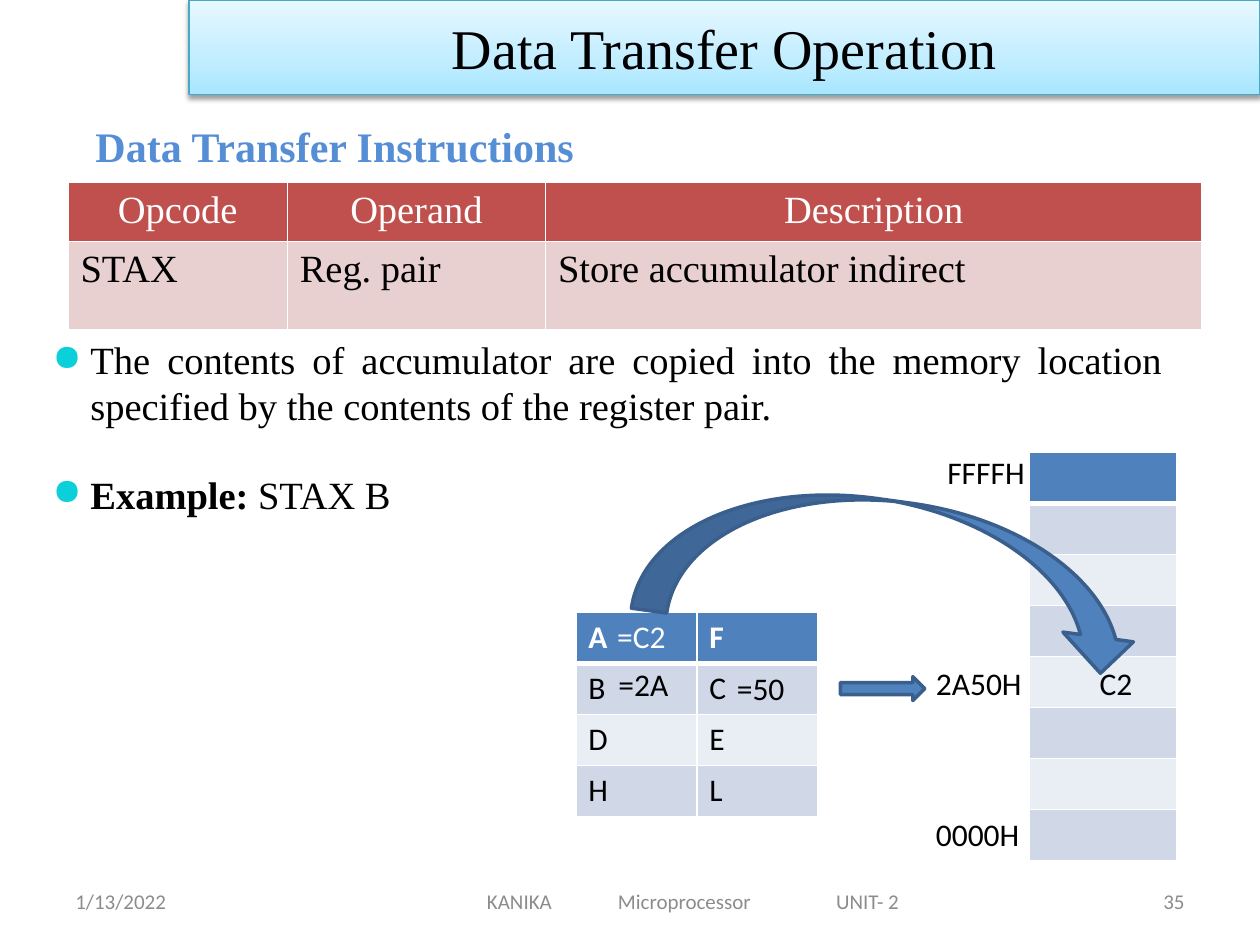
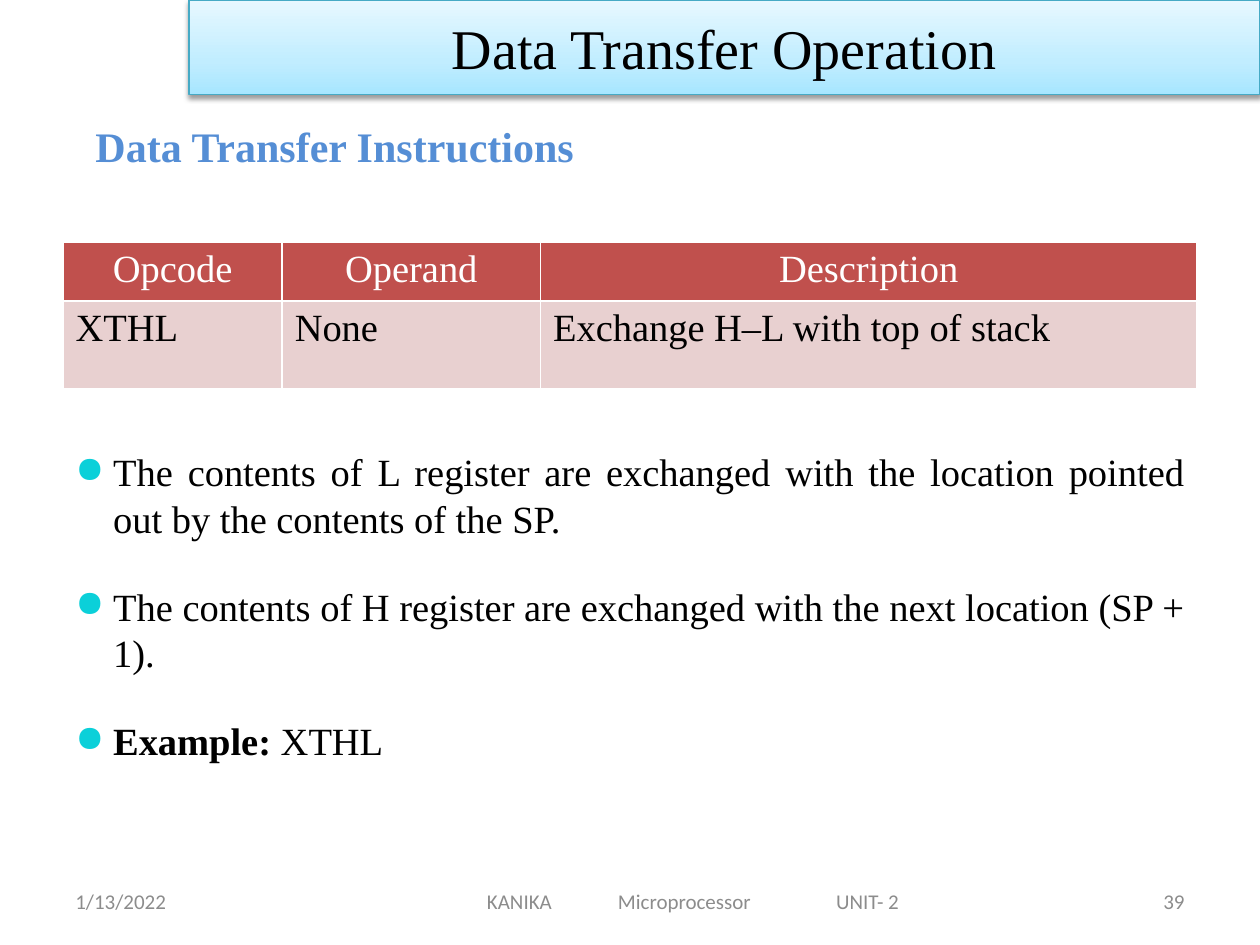
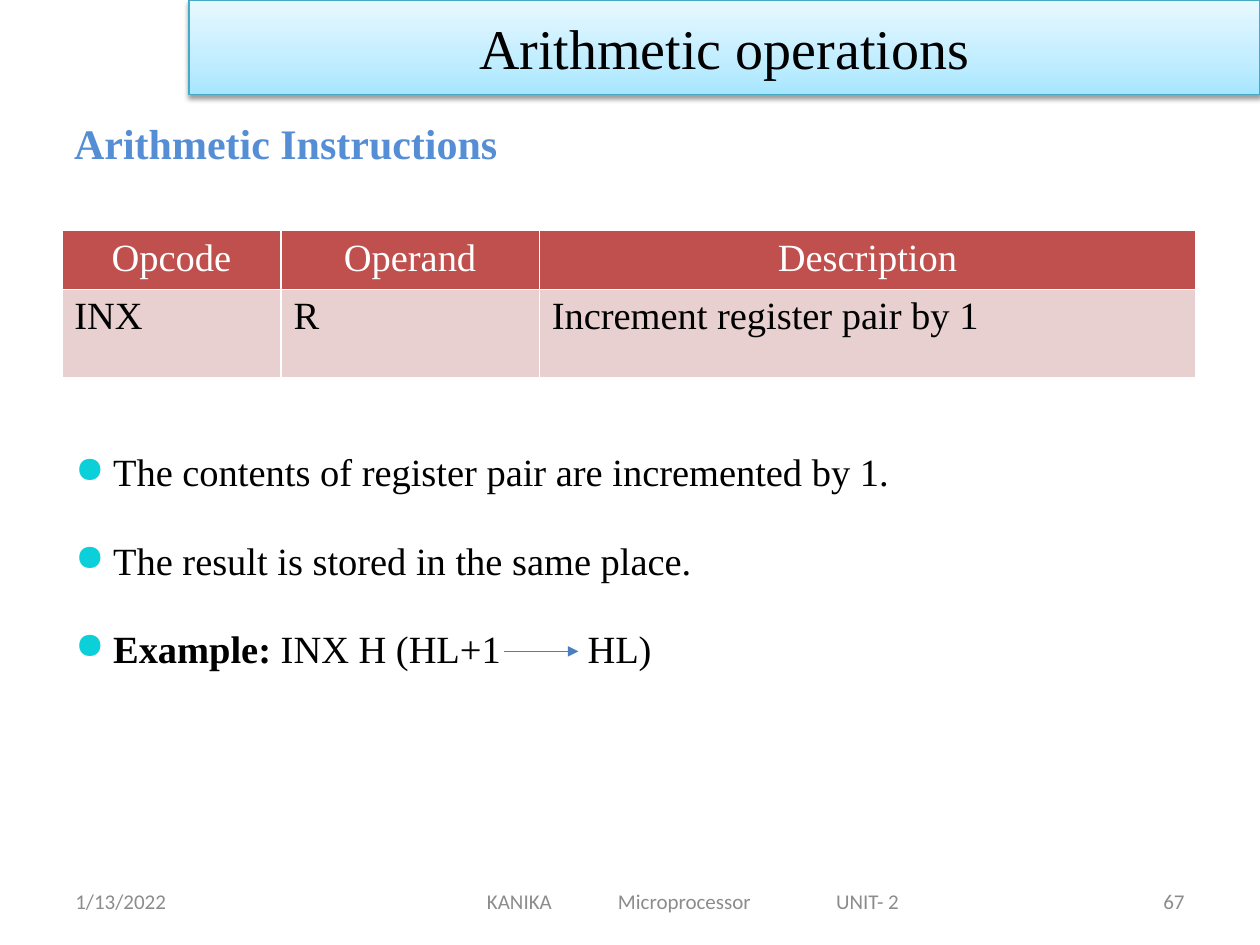
from lxml import etree
from pptx import Presentation
from pptx.dml.color import RGBColor
from pptx.enum.shapes import MSO_CONNECTOR, MSO_SHAPE
from pptx.enum.text import MSO_ANCHOR, PP_ALIGN
from pptx.oxml.ns import qn
from pptx.util import Inches, Pt

LEFT, CENTER, RIGHT, JUSTIFY = PP_ALIGN.LEFT, PP_ALIGN.CENTER, PP_ALIGN.RIGHT, PP_ALIGN.JUSTIFY
TOP, MIDDLE = MSO_ANCHOR.TOP, MSO_ANCHOR.MIDDLE
RECT, RIGHT_ARROW, CURVED_ARROW = (
    MSO_SHAPE.RECTANGLE, MSO_SHAPE.RIGHT_ARROW, MSO_SHAPE.CURVED_DOWN_ARROW)
STRAIGHT = MSO_CONNECTOR.STRAIGHT

# The slide is a grid of 100 columns by 75 rows
COLS, ROWS = 100, 75
SERIF, SANS = "Times New Roman", "Calibri"
COLORS = {
    "text": "000000", "white": "FFFFFF", "footer": "8C8C8C", "heading": "558ED5",
    "bullet": "0BD0D9", "band_line": "46AAC5",
    "red": "C0504D", "pink": "E8D0D0",
    "blue": "4F81BD", "blue_line": "3A5F8C", "band_odd": "D0D8E8", "band_even": "E9EDF4",
    "arrow": "4B7EBC",
}
BAND_STOPS = [(0, "A7E6FF"), (35, "C1EDFF"), (100, "E7F8FF")]


def rgb(name):
    return RGBColor.from_string(COLORS[name])


def add_xml(parent, tag, **attrs):
    return etree.SubElement(parent, qn(tag), {k: str(v) for k, v in attrs.items()})


class Deck:
    def __init__(self):
        self.prs = Presentation()
        self.prs.slide_width, self.prs.slide_height = Inches(10), Inches(7.5)
        self.s = None

    def x(self, cols):
        return round(self.prs.slide_width * cols / COLS)

    def y(self, rows):
        return round(self.prs.slide_height * rows / ROWS)

    def box(self, left, top, width, height):
        return self.x(left), self.y(top), self.x(width), self.y(height)

    def add_runs(self, p, runs, size, font, color, align=LEFT):
        """Each run is (text, bold, extra letter spacing in points)."""
        p.alignment = align
        for text, bold, spacing in runs:
            r = p.add_run()
            r.text = text
            r.font.size, r.font.name, r.font.bold = Pt(size), font, bold
            r.font.color.rgb = rgb(color)
            if spacing:
                r._r.get_or_add_rPr().set("spc", str(spacing * 100))

    def text(self, at, runs, size=18, font=SANS, color="text", align=LEFT,
             anchor=TOP, wrap=True):
        if isinstance(runs, str):
            runs = [(runs, False, 0)]
        tf = self.s.shapes.add_textbox(*self.box(*at)).text_frame
        tf.word_wrap, tf.vertical_anchor = wrap, anchor
        self.add_runs(tf.paragraphs[0], runs, size, font, color, align)

    def shape(self, kind, at, line, width, fill=None, rotation=0):
        sp = self.s.shapes.add_shape(kind, *self.box(*at))
        sp.shadow.inherit = False
        sp.rotation = rotation
        if fill:
            sp.fill.solid()
            sp.fill.fore_color.rgb = rgb(fill)
        sp.line.color.rgb, sp.line.width = rgb(line), Pt(width)
        return sp

    def title_band(self, title):
        sp = self.shape(RECT, (15, 0, 85, 7.5), "band_line", 0.75)
        # Gradient, light at the top
        sp.fill.gradient()
        sp.fill.gradient_angle = 90
        stops = sp._element.spPr.find(".//" + qn("a:gsLst"))
        stops.clear()
        for pos, color in BAND_STOPS:
            add_xml(add_xml(stops, "a:gs", pos=pos * 1000), "a:srgbClr", val=color)
        # Soft shadow below
        shadow = add_xml(sp._element.spPr.find(qn("a:effectLst")), "a:outerShdw",
                         blurRad=Pt(3.1), dist=Pt(1.6), dir=90 * 60000, rotWithShape=0)
        color = add_xml(shadow, "a:srgbClr", val=COLORS["text"])
        add_xml(color, "a:alpha", val=38000)
        tf = sp.text_frame
        tf.word_wrap, tf.vertical_anchor = True, MIDDLE
        self.add_runs(tf.paragraphs[0], [(title, False, 0)], 32, SERIF, "text", CENTER)

    def footer(self, number):
        style = dict(size=12, color="footer", anchor=MIDDLE)
        course = [("KANIKA", False, 0), (" ", False, 35), ("Microprocessor", False, 0),
                  (" ", False, 46), ("UNIT- 2", False, 0)]
        self.text((5, 69.5, 23.3, 4), "1/13/2022", **style)
        self.text((27.5, 69.5, 55, 4), course, align=CENTER, **style)
        self.text((71.7, 69.5, 23.3, 4), str(number), align=RIGHT, **style)

    def start(self, title, heading, heading_at, number):
        self.s = self.prs.slides.add_slide(self.prs.slide_layouts[6])
        self.footer(number)
        self.title_band(title)
        self.text(heading_at, [(heading, True, 0)], 24, SERIF, "heading", wrap=False)

    def table(self, at, rows, fills, size, font, head_bold, head_align, head_rule):
        """The first fill is the header's; the others alternate down the body."""
        t = self.s.shapes.add_table(len(rows), len(rows[0]), *self.box(*at)).table
        head, *body = fills
        for i, row in enumerate(rows):
            for j, value in enumerate(row):
                cell = t.cell(i, j)
                widths = {"L": 1, "R": 1, "T": head_rule if i == 1 else 1,
                          "B": head_rule if i == 0 else 1}
                for side, width in widths.items():
                    ln = add_xml(cell._tc.get_or_add_tcPr(), "a:ln" + side, w=Pt(width))
                    add_xml(add_xml(ln, "a:solidFill"), "a:srgbClr", val=COLORS["white"])
                cell.fill.solid()
                cell.fill.fore_color.rgb = rgb(body[(i - 1) % len(body)] if i else head)
                if value:
                    self.add_runs(cell.text_frame.paragraphs[0],
                                  [(value, head_bold and i == 0, 0)], size, font,
                                  "text" if i else "white", LEFT if i else head_align)
        return t

    def instruction(self, left, top, opcode, operand, description):
        t = self.table((left, top, 90, 11.6),
                       [("Opcode", "Operand", "Description"), (opcode, operand, description)],
                       ("red", "pink"), 22, SERIF, False, CENTER, 1)
        for col, width in zip(t.columns, (17.4, 20.5, 52.1)):
            col.width = self.x(width)
        for row, height in zip(t.rows, (4.6, 7)):
            row.height = self.y(height)

    def cells(self, at, rows):
        self.table(at, rows, ("blue", "band_odd", "band_even"), 18, SANS, True, LEFT, 3)

    def bullets(self, left, top, points, example, align=JUSTIFY):
        tf = self.s.shapes.add_textbox(*self.box(left, top, 90, 34)).text_frame
        tf.word_wrap = True
        items = [[(point, False, 0)] for point in points]
        items.append([("Example:", True, 0), *example])
        for i, runs in enumerate(items):
            p = tf.add_paragraph() if i else tf.paragraphs[0]
            p.space_after = Pt(24)
            pPr = p._p.get_or_add_pPr()
            pPr.set("marL", str(self.x(3)))
            pPr.set("indent", str(-self.x(3)))
            add_xml(add_xml(pPr, "a:buClr"), "a:srgbClr", val=COLORS["bullet"])
            add_xml(pPr, "a:buSzPct", val=95000)
            add_xml(pPr, "a:buChar", char="●")
            self.add_runs(p, runs, 22, SERIF, "text", align)

    def arrow(self, x1, x2, y):
        c = self.s.shapes.add_connector(STRAIGHT, self.x(x1), self.y(y), self.x(x2), self.y(y))
        c.line.color.rgb, c.line.width = rgb("arrow"), Pt(0.75)
        add_xml(c._element.spPr.find(qn("a:ln")), "a:tailEnd", type="triangle")
        add_xml(c._element.spPr, "a:effectLst")


def stax(d):
    d.start("Data Transfer Operation", "Data Transfer Instructions", (6.6, 9.1, 40.4, 5.1), 35)
    d.instruction(5.4, 14.5, "STAX", "Reg. pair", "Store accumulator indirect")
    d.bullets(3.2, 26.2,
              ["The contents of accumulator are copied into the memory location "
               "specified by the contents of the register pair."],
              [(" STAX B", False, 0)])
    # Registers and memory
    d.cells((45.7, 48.6, 19.2, 16.2), ["AF", "BC", "DE", "HL"])
    d.cells((81.7, 35.9, 11.7, 32.4), [[""]] * 8)
    # Addresses and stored values
    for left, top, width, label in [
            (73.3, 64.2, 13.3, "0000H"), (74.2, 35.5, 13.3, "FFFFH"),
            (48.1, 52.3, 6.3, "=2A"), (73.3, 52.2, 13.3, "2A50H"),
            (86.3, 52.2, 6.3, "C2"), (57.5, 52.6, 6.3, "=50")]:
        d.text((left, top, width, 4), label)
    # Flow from accumulator to memory
    d.shape(CURVED_ARROW, (50.7, 39.8, 40.4, 11.3), "blue_line", 2, "blue", 7.9)
    d.text((48, 48.5, 6.3, 4), "=C2", color="white")
    d.shape(RIGHT_ARROW, (66.7, 53.7, 6.7, 1.9), "blue_line", 2, "blue")


def xthl(d):
    d.start("Data Transfer Operation", "Data Transfer Instructions", (6.6, 9.1, 40.4, 5.1), 39)
    d.instruction(5, 19.2, "XTHL", "None", "Exchange H–L with top of stack")
    d.bullets(5, 35.1,
              ["The contents of L register are exchanged with the location pointed "
               "out by the contents of the SP.",
               "The contents of H register are exchanged with the next location (SP + 1)."],
              [(" XTHL", False, 0)])


def inx(d):
    d.start("Arithmetic operations", "Arithmetic Instructions", (4.9, 8.8, 36, 5), 67)
    d.instruction(4.9, 18.3, "INX", "R", "Increment register pair by 1")
    d.bullets(5, 35.1,
              ["The contents of register pair are incremented by 1.",
               "The result is stored in the same place."],
              [(" INX H (HL+1", False, 0), (" ", False, 44), ("HL)", False, 0)], LEFT)
    d.arrow(40, 45.9, 51.7)


def main():
    d = Deck()
    for build in (stax, xthl, inx):
        build(d)
    d.prs.save("out.pptx")


if __name__ == "__main__":
    main()
